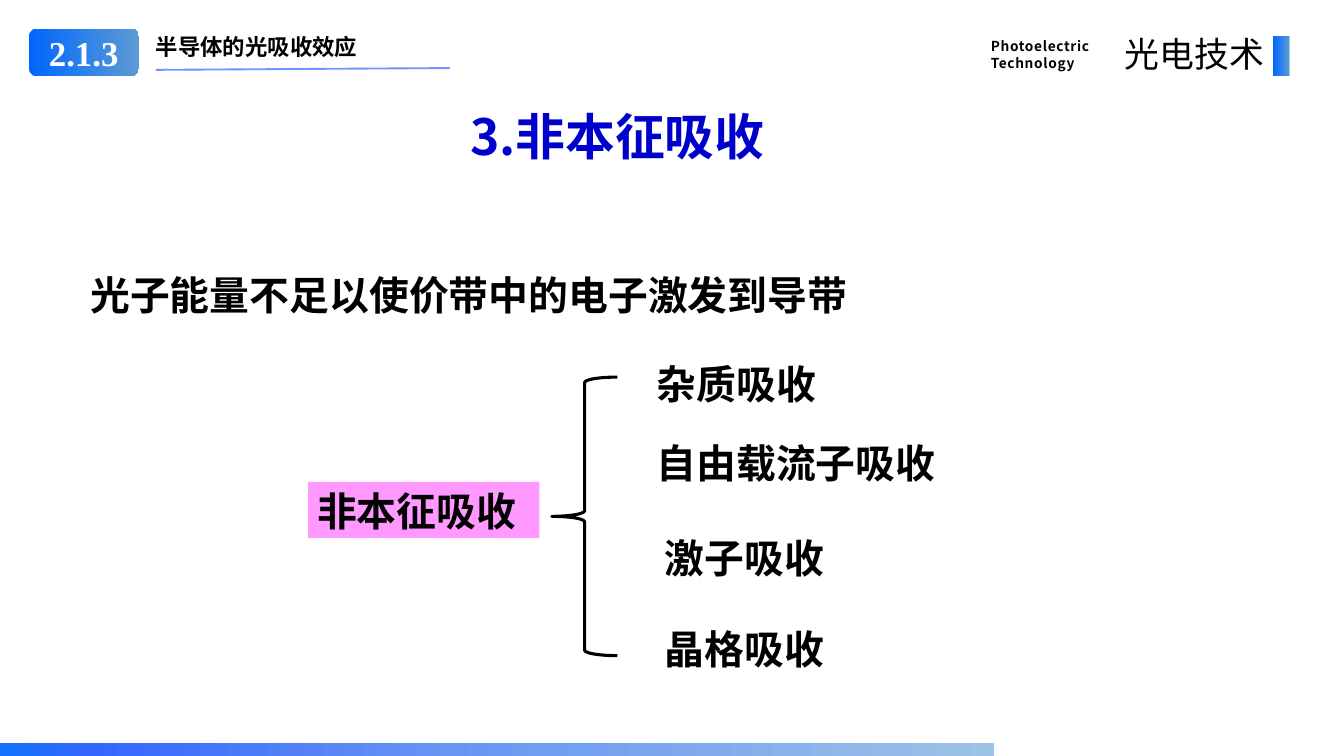
from lxml import etree
from pptx import Presentation
from pptx import util as u
from pptx.dml.color import RGBColor
from pptx.enum import shapes, text
from pptx.oxml.ns import qn

COLORS = {
    "ink": "000000", "white": "FFFFFF", "title": "0000CC", "pink": "FF99FF",
    "blue": "0066FF", "steel": "5B9BD5", "rule": "3366FF",
    "bar_start": "1271FE", "bar_middle": "6895F3", "bar_end": "9DC3E6",
}
COLUMNS, ROWS = 150, 84.4
SANS, SERIF = "Noto Sans CJK SC", "Times New Roman"
BADGE_GRADIENT = [(0, "blue"), (100, "steel")]
BAR_GRADIENT = [(0, "bar_start"), (9, "rule"), (45, "bar_middle"), (100, "bar_end")]
ALIGN = text.PP_ALIGN
MIDDLE = text.MSO_ANCHOR.MIDDLE
SHAPE = shapes.MSO_SHAPE


def color(name):
    return RGBColor.from_string(COLORS[name])


class SlideBuilder:
    """Places styled elements on a grid of COLUMNS by ROWS cells."""

    def __init__(self, presentation):
        self.cell_width = presentation.slide_width / COLUMNS
        self.cell_height = presentation.slide_height / ROWS
        self.slide = presentation.slides.add_slide(presentation.slide_layouts[6])

    def place(self, left, top, width, height):
        return (round(left * self.cell_width), round(top * self.cell_height),
                round(width * self.cell_width), round(height * self.cell_height))

    def set_text(self, shape, content, size, ink="ink", bold=True, font=SANS,
                 align=ALIGN.LEFT, anchor=MIDDLE, leading=None, spacing=0):
        """Fill the shape with text; spacing is between letters, in points."""
        frame = shape.text_frame
        frame.word_wrap = True
        frame.vertical_anchor = anchor
        frame.text = content
        for paragraph in frame.paragraphs:
            paragraph.alignment = align
            if leading:
                paragraph.line_spacing = u.Pt(leading)
            paragraph.font.size = u.Pt(size)
            paragraph.font.bold = bold
            paragraph.font.color.rgb = color(ink)
            paragraph.font.name = font
            properties = paragraph._p.pPr.find(qn("a:defRPr"))
            etree.SubElement(properties, qn("a:ea"), typeface=font)
            if spacing:
                properties.set("spc", str(round(spacing * 100)))

    def label(self, box, content, size, **style):
        self.set_text(self.slide.shapes.add_textbox(*self.place(*box)), content, size, **style)

    def block(self, box, fill, kind=SHAPE.RECTANGLE):
        """Add a borderless shape filled with a colour name or a list of gradient stops."""
        shape = self.slide.shapes.add_shape(kind, *self.place(*box))
        shape.shadow.inherit = False
        shape.line.fill.background()
        if isinstance(fill, str):
            shape.fill.solid()
            shape.fill.fore_color.rgb = color(fill)
            return shape
        shape.fill.gradient()
        shape.fill.gradient_angle = 0
        stops = shape._element.spPr.find(qn("a:gradFill")).find(qn("a:gsLst"))
        for stop in list(stops):
            stops.remove(stop)
        for position, name in fill:
            stop = etree.SubElement(stops, qn("a:gs"), pos=str(position * 1000))
            etree.SubElement(stop, qn("a:srgbClr"), val=COLORS[name])
        return shape

    def brace(self, box, width):
        shape = self.slide.shapes.add_shape(SHAPE.LEFT_BRACE, *self.place(*box))
        shape.shadow.inherit = False
        shape.fill.background()
        shape.line.color.rgb = color("ink")
        shape.line.width = u.Pt(width)

    def rule(self, start, end, ink, width, opacity):
        line = self.slide.shapes.add_connector(
            shapes.MSO_CONNECTOR.STRAIGHT, *self.place(*start, *end))
        line.line.color.rgb = color(ink)
        line.line.width = u.Pt(width)
        properties = line._element.spPr
        etree.SubElement(properties, qn("a:effectLst"))
        tint = next(properties.iter(qn("a:srgbClr")))
        etree.SubElement(tint, qn("a:alpha"), val=str(opacity * 1000))


def add_header(builder):
    badge = builder.block((3.2, 3.2, 12.3, 5.3), BADGE_GRADIENT, SHAPE.ROUNDED_RECTANGLE)
    builder.set_text(badge, "2.1.3", 28, ink="white", font=SERIF, align=ALIGN.CENTER)
    top = text.MSO_ANCHOR.TOP
    builder.label((16.4, 3.2, 44.3, 4), "半导体的光吸收效应", 18, anchor=top)
    builder.rule((17.4, 7.8), (50.2, 7.6), "rule", 1.5, 70)
    builder.label((109.6, 3.6, 15.8, 4.9), "Photoelectric\nTechnology", 11,
                  anchor=top, leading=14, spacing=0.5)
    builder.label((123.1, 3.2, 19, 5.7), "光电技术", 28, bold=False,
                  align=ALIGN.RIGHT, anchor=top, spacing=0.2)
    builder.block((142.1, 4, 1.8, 4.5), BADGE_GRADIENT)


def add_content(builder):
    builder.label((44.2, 11.3, 49.4, 7.7), "3.非本征吸收", 40, ink="title",
                  align=ALIGN.CENTER, anchor=text.MSO_ANCHOR.TOP)
    builder.label((9.1, 29.7, 89.9, 6.3), "光子能量不足以使价带中的电子激发到导带", 32)
    root = builder.block((34.4, 53.8, 25.8, 6.3), "pink")
    builder.set_text(root, "非本征吸收", 32)
    builder.brace((61.6, 42.1, 7.3, 31.1), 2.5)
    branches = [("杂质吸收", 72.3, 39.7), ("自由载流子吸收", 72.3, 48.5),
                ("激子吸收", 73.2, 59.1), ("晶格吸收", 73.2, 69.3)]
    for name, left, top in branches:
        builder.label((left, top, 36, 6.3), name, 32)


def main():
    presentation = Presentation()
    presentation.slide_width = u.Inches(15)
    presentation.slide_height = u.Inches(8.44)
    builder = SlideBuilder(presentation)
    add_content(builder)
    add_header(builder)
    builder.block((0, 83, 110.9, 1.4), BAR_GRADIENT)
    presentation.save("out.pptx")


if __name__ == "__main__":
    main()
